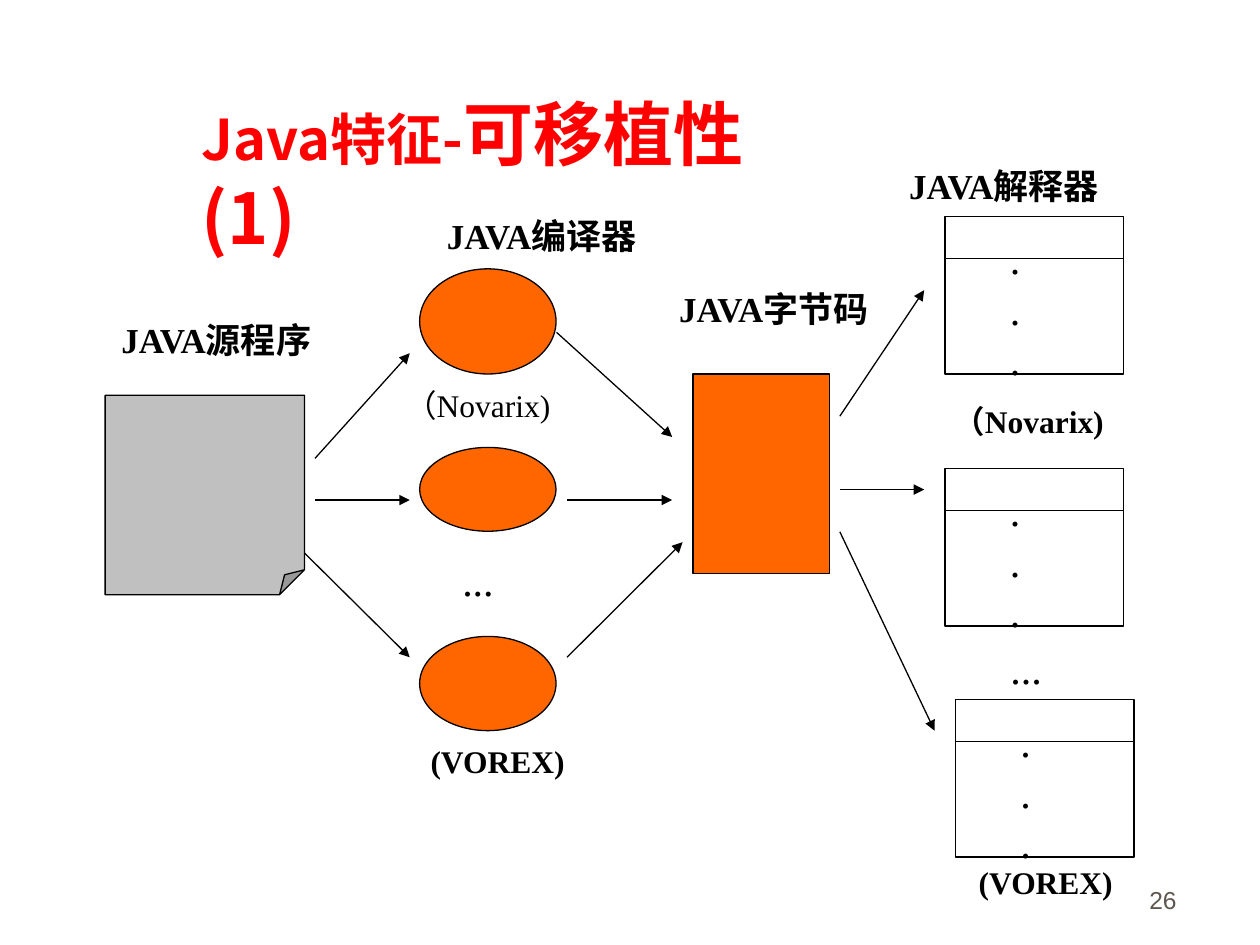
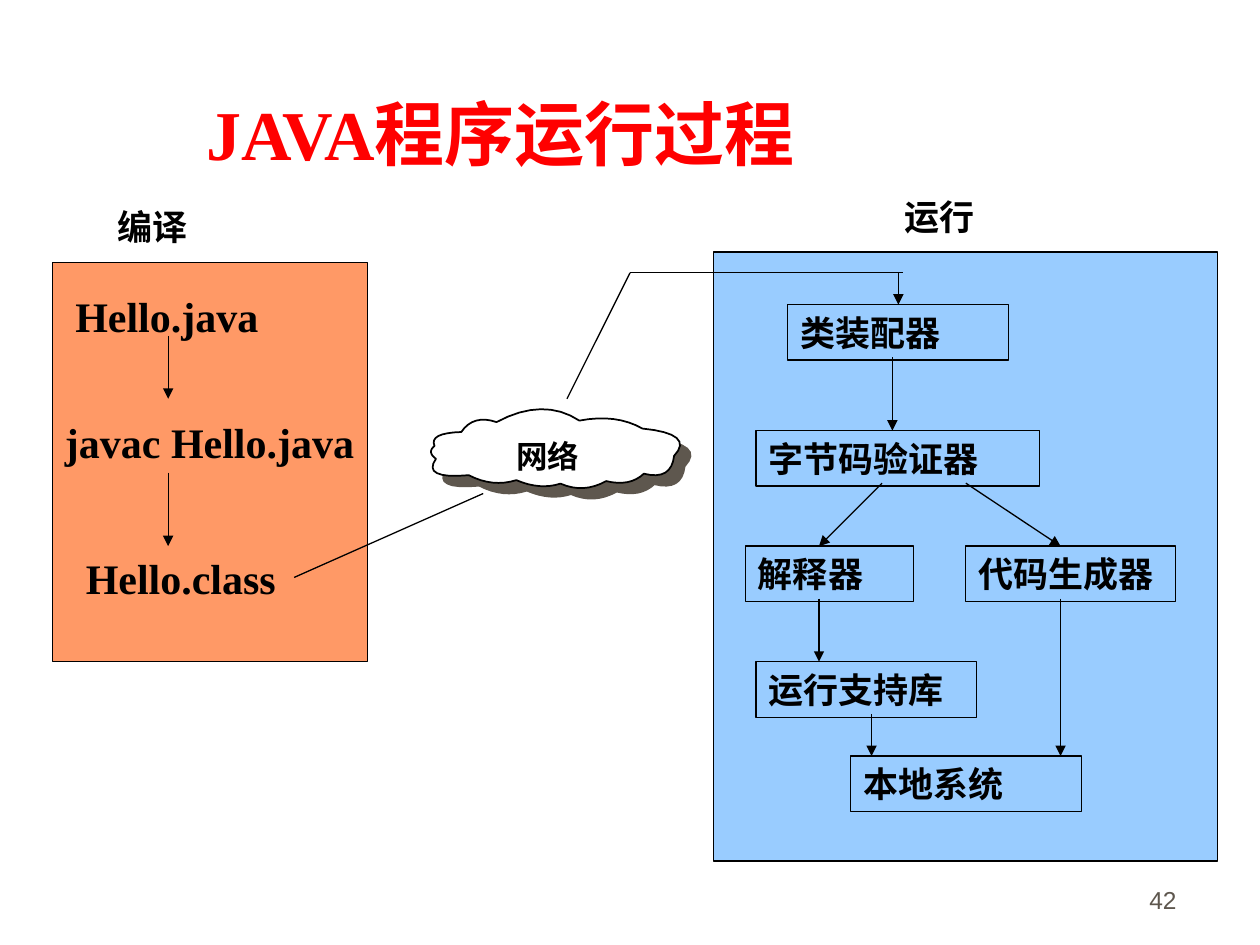
"""Build two slides on Java portability and how a Java program runs."""
import lxml.etree
import pptx
import pptx.dml.color
import pptx.enum.shapes
import pptx.enum.text
import pptx.oxml.ns
import pptx.util

Cm, Pt = pptx.util.Cm, pptx.util.Pt
RGBColor = pptx.dml.color.RGBColor
SHAPE = pptx.enum.shapes.MSO_SHAPE
ALIGN, ANCHOR = pptx.enum.text.PP_ALIGN, pptx.enum.text.MSO_ANCHOR
qn = pptx.oxml.ns.qn

BLACK = RGBColor(0x00, 0x00, 0x00)
WHITE = RGBColor(0xFF, 0xFF, 0xFF)
RED = RGBColor(0xFF, 0x00, 0x00)
GREY = RGBColor(0xC0, 0xC0, 0xC0)
BROWN = RGBColor(0x5E, 0x57, 0x4E)
ORANGE = RGBColor(0xFF, 0x66, 0x00)
PEACH = RGBColor(0xFF, 0x99, 0x66)
BLUE = RGBColor(0x99, 0xCC, 0xFF)
SERIF, SANS, HAN = "Times New Roman", "Arial", "Noto Sans CJK SC"


def put(item, **values):
    """Set each named attribute on an item."""
    for name, value in values.items():
        setattr(item, name, value)


def add(parent, tag, **values):
    """Append an XML child with the given attributes."""
    child = lxml.etree.SubElement(parent, qn(tag))
    for name, value in values.items():
        child.set(name, str(value))
    return child


def write(shape, parts, align=ALIGN.LEFT, anchor=ANCHOR.TOP, color=BLACK,
          face=SERIF, bold=True, pitch=None):
    """Fill a shape with paragraphs of (text, size) runs."""
    frame = shape.text_frame
    put(frame, word_wrap=True, vertical_anchor=anchor,
        auto_size=pptx.enum.text.MSO_AUTO_SIZE.NONE,
        margin_left=Cm(0.25), margin_right=Cm(0.25),
        margin_top=Cm(0.13), margin_bottom=Cm(0.13))
    for index, runs in enumerate(parts):
        para = frame.add_paragraph() if index else frame.paragraphs[0]
        put(para, alignment=align, line_spacing=pitch)
        for text, size in runs:
            run = para.add_run()
            run.text = text
            put(run.font, size=Pt(size), name=face, bold=bold)
            run.font.color.rgb = color
            add(run._r.get_or_add_rPr(), "a:ea", typeface=HAN)


def place(shape, x, y, wide, high):
    """Move and size a shape in centimetres."""
    put(shape, left=Cm(x), top=Cm(y), width=Cm(wide), height=Cm(high))


def start(deck, runs, box, face, number):
    """Add a slide with its title and page number."""
    slide = deck.slides.add_slide(deck.slide_layouts[5])
    title = slide.shapes.title
    place(title, *box)
    write(title, [runs], color=RED, face=face)
    page = slide.shapes.add_textbox(Cm(18.69), Cm(17.3), Cm(5.28), Cm(1.27))
    write(page, [[(number, 14)]], align=ALIGN.RIGHT, anchor=ANCHOR.BOTTOM,
          color=BROWN, face=SANS, bold=False)
    return slide


def label(slide, text, x, y, size=20, wide=4.9, bold=True):
    """Add one line of text."""
    box = slide.shapes.add_textbox(Cm(x), Cm(y), Cm(wide), Cm(size * 0.055))
    write(box, [[(text, size)]], bold=bold)


def ink(shape, fill=None, width=0.75):
    """Give a shape a plain fill, a black outline and no shadow."""
    shape.shadow.inherit = False
    if fill is None:
        shape.fill.background()
    else:
        shape.fill.solid()
        shape.fill.fore_color.rgb = fill
    shape.line.color.rgb = BLACK
    shape.line.width = Pt(width)


def block(slide, kind, x, y, wide, high, fill=None):
    """Add an outlined preset shape."""
    shape = slide.shapes.add_shape(kind, Cm(x), Cm(y), Cm(wide), Cm(high))
    ink(shape, fill)
    return shape


def link(slide, x1, y1, x2, y2, arrow=True):
    """Draw a straight line, with an arrowhead if asked."""
    line = slide.shapes.add_connector(
        pptx.enum.shapes.MSO_CONNECTOR.STRAIGHT, Cm(x1), Cm(y1), Cm(x2), Cm(y2))
    line.line.color.rgb = BLACK
    line.line.width = Pt(0.75)
    props = line.element.spPr
    if arrow:
        add(props.find(qn("a:ln")), "a:tailEnd", type="triangle")
    add(props, "a:effectLst")


def engine(slide, x, y):
    """Draw an interpreter: a box with a header line and three dots."""
    block(slide, SHAPE.RECTANGLE, x, y, 3.6, 3.18)
    link(slide, x, y + 0.85, x + 3.6, y + 0.85, arrow=False)
    dots = slide.shapes.add_textbox(Cm(x + 1.06), Cm(y + 0.2), Cm(0.72), Cm(3.3))
    write(dots, [[(".", 24)]] * 3, bold=False, pitch=Pt(28.8))


def cloud(slide):
    """Draw the network cloud from lobes through (cusp, crest) pairs."""
    lobes = [
        ((12.95, 8.64), (12.37, 8.45)), ((11.68, 8.48), (10.9, 8.25)),
        ((10.01, 8.51), (9.6, 8.48)), ((9.3, 8.71), (8.84, 8.79)),
        ((8.76, 8.99), (8.69, 9.12)), ((8.79, 9.25), (8.81, 9.54)),
        ((9.45, 9.58), (9.93, 9.73)), ((10.41, 9.68), (10.87, 9.8)),
        ((11.3, 9.75), (11.76, 9.84)), ((12.22, 9.7), (12.65, 9.72)),
        ((12.98, 9.55), (13.41, 9.53)), ((13.59, 9.19), (13.64, 8.83))]
    steps = 8
    points = []
    for (cusp, crest), (end, _) in zip(lobes, lobes[1:] + lobes[:1]):
        for step in range(steps):
            t = step / steps
            points.append(tuple(
                Cm(a * (1 - t) * (1 - 2 * t) + 4 * m * t * (1 - t) + b * t * (2 * t - 1))
                for a, m, b in zip(cusp, crest, end)))
    pen = slide.shapes.build_freeform(*points[0])
    pen.add_line_segments(points[1:], close=True)
    shape = pen.convert_to_shape()
    ink(shape, WHITE, 1)
    shade = add(shape.element.spPr.find(qn("a:effectLst")), "a:outerShdw",
                dist=Pt(8.5), dir=45 * 60000, algn="ctr", rotWithShape=0)
    add(shade, "a:srgbClr", val=BROWN)


def port(deck):
    """Build the portability slide."""
    slide = start(deck, [("Java特征-", 32), ("可移植性(1)", 40)],
                  (3.81, 1.7, 12.95, 3.66), HAN, "26")
    sheet = block(slide, SHAPE.FOLDED_CORNER, 2.12, 7.97, 4.02, 4.02, GREY)
    guides = sheet.element.spPr.find(qn("a:prstGeom")).get_or_add_avLst()
    add(guides, "a:gd", name="adj", fmla="val 12500")
    for y, high in ((5.42, 2.12), (9.02, 1.69), (12.83, 1.9)):
        block(slide, SHAPE.OVAL, 8.46, y, 2.75, high, ORANGE)
    block(slide, SHAPE.RECTANGLE, 13.97, 7.54, 2.75, 4.02, ORANGE)
    for x, y in ((19.05, 4.36), (19.05, 9.44), (19.26, 14.1)):
        engine(slide, x, y)
    for text, x, y in (("JAVA源程序", 2.2, 6.29), ("JAVA编译器", 8.76, 4.2),
                       ("JAVA字节码", 13.44, 5.67), ("JAVA解释器", 18.08, 3.18)):
        label(slide, text, x, y)
    for text, x, y, size, bold in (
            ("（Novarix)", 7.92, 7.65, 18, False), ("...", 9.07, 11.05, 24, False),
            ("(VOREX)", 8.43, 14.83, 18, True), ("（Novarix)", 18.97, 7.98, 18, True),
            ("...", 20.12, 12.83, 24, False), ("(VOREX)", 19.48, 17.27, 18, True)):
        label(slide, text, x, y, size, bold=bold)
    for ends in ((6.35, 9.24, 8.26, 7.12), (6.35, 10.08, 8.26, 10.08),
                 (6.14, 11.15, 8.26, 13.25), (11.22, 6.7, 13.55, 8.81),
                 (11.43, 10.08, 13.55, 10.08), (11.43, 13.25, 13.76, 10.93),
                 (16.93, 8.39, 18.63, 5.85), (16.93, 9.87, 18.63, 9.87),
                 (16.93, 10.72, 18.84, 14.73)):
        link(slide, *ends)


def flow(deck):
    """Build the slide on how a program runs."""
    slide = start(deck, [("JAVA程序运行过程", 40)], (3.91, 1.7, 13.6, 1.96), SERIF, "42")
    block(slide, SHAPE.RECTANGLE, 14.39, 5.08, 10.16, 12.28, BLUE)
    block(slide, SHAPE.RECTANGLE, 1.06, 5.29, 6.35, 8.04, PEACH)
    cloud(slide)
    for text, x, y, size in (
            ("Hello.java", 1.27, 5.72, 24), ("javac Hello.java", 1.06, 8.26, 24),
            ("Hello.class", 1.48, 11, 24), ("网络", 10.16, 8.68, 18),
            ("编译", 2.11, 4.02, 20), ("运行", 17.99, 3.81, 20)):
        label(slide, text, x, y, size, wide=6.5)
    for text, x, y, wide in (
            ("类装配器", 15.88, 6.14, 4.45), ("字节码验证器", 15.24, 8.68, 5.72),
            ("解释器", 15.03, 11.01, 3.39), ("代码生成器", 19.47, 11.01, 4.23),
            ("运行支持库", 15.24, 13.34, 4.45), ("本地系统", 17.15, 15.24, 4.66)):
        write(block(slide, SHAPE.RECTANGLE, x, y, wide, 1.12), [[(text, 20)]])
    for ends in ((5.93, 11.64, 9.74, 9.95), (11.43, 8.04, 12.7, 5.5),
                 (12.7, 5.5, 18.2, 5.5)):
        link(slide, *ends, arrow=False)
    for ends in ((18.11, 5.5, 18.11, 6.14), (17.99, 7.2, 17.99, 8.68),
                 (17.78, 9.74, 16.51, 11.01), (19.47, 9.74, 21.38, 11.01),
                 (16.51, 12.07, 16.51, 13.34), (17.57, 14.39, 17.57, 15.24),
                 (21.38, 12.07, 21.38, 15.24), (3.39, 6.77, 3.39, 8.04),
                 (3.39, 9.53, 3.39, 11.01)):
        link(slide, *ends)


def main():
    """Build and save the deck."""
    deck = pptx.Presentation()
    put(deck, slide_width=Cm(25.4), slide_height=Cm(19.05))
    port(deck)
    flow(deck)
    deck.save("out.pptx")


if __name__ == "__main__":
    main()
